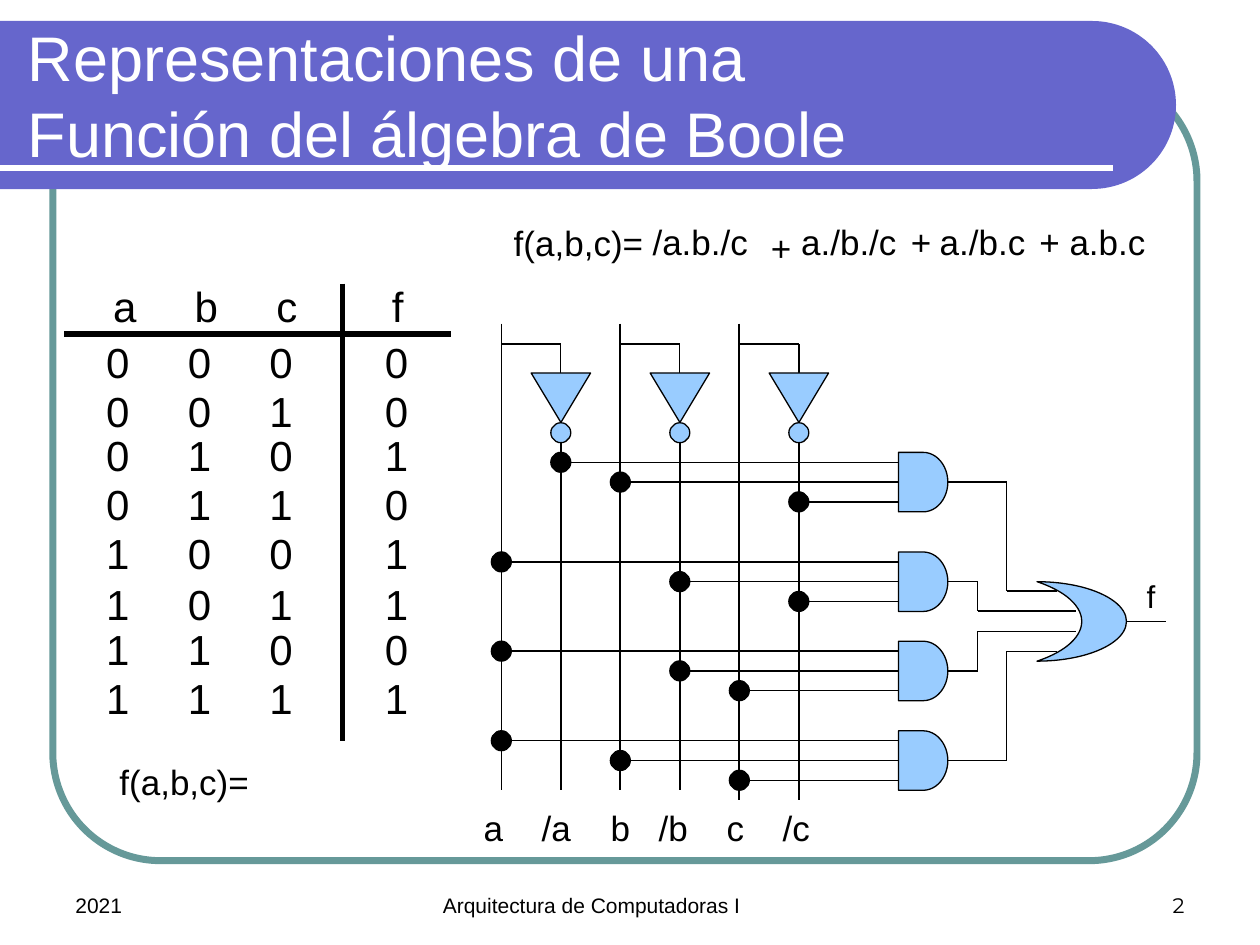
"""Build a slide with a truth table and the logic circuit of a Boolean function."""
from math import cos, radians, sin
from typing import NamedTuple

from lxml.etree import SubElement
from pptx import Presentation
from pptx.dml.color import RGBColor
from pptx.enum.shapes import MSO_CONNECTOR, MSO_SHAPE
from pptx.enum.text import MSO_ANCHOR, MSO_AUTO_SIZE, PP_ALIGN
from pptx.oxml.ns import qn
from pptx.util import Pt

BLACK, WHITE, SKY, TEAL, VIOLET = "000000", "FFFFFF", "99CCFF", "669999", "6666CC"
STEP, GATE_X, GATE_W, GATE_H, PIN = 34, 513.4, 28.2, 34, 11.3
WIRES = {name: 286.5 + STEP * i for i, name in enumerate(["a", "/a", "b", "/b", "c", "/c"])}


class Label(NamedTuple):
    text: str
    left: float
    top: float
    width: float
    height: float = 31.7
    size: float = 20
    align: PP_ALIGN = PP_ALIGN.LEFT
    anchor: MSO_ANCHOR = MSO_ANCHOR.TOP
    font: str = "Arial"
    inset: float = 7.2
    tabs: tuple = ()


class Gate(NamedTuple):
    top: float
    pins: tuple
    bend: float
    port: float
    end: float


GATES = [
    Gate(258.5, ("/a", "b", "/c"), 575.3, 337.7, 604),
    Gate(315.4, ("a", "/b", "/c"), 558.7, 349.2, 615),
    Gate(366.4, ("a", "/b", "c"), 558.7, 360.7, 615),
    Gate(417.6, ("a", "b", "c"), 575.3, 372.2, 604),
]
TABLE_TABS = (46.7, 93.3, 159.3)
ROW_TOPS = [188.6, 216.7, 241.9, 270, 298, 326.9, 352.8, 380.9]
MINTERMS = {2, 4, 5, 7}
LABELS = [
    Label("f(a,b,c)=", 286.5, 123.1, 108),
    Label("/a.b./c", 365.8, 122.4, 73.4),
    Label("+", 433.4, 126, 28.1),
    Label("a./b./c", 450.7, 122.4, 73.4),
    Label("+", 513.4, 122.4, 28.1),
    Label("a./b.c", 529.9, 122.4, 67.7),
    Label("+", 586.8, 122.4, 28.1),
    Label("a.b.c", 604.1, 122.4, 62.6),
    Label("f(a,b,c)=", 61.2, 431.3, 108),
    Label("\t".join(WIRES), 269.3, 457.2, 203.8, tabs=(33.1, 72.6, 100, 138.9, 170.9)),
    Label("f", 643.7, 326.2, 28.1, 28.8, 18, PP_ALIGN.CENTER),
    Label("2021", 36, 492, 168, 36, 12, anchor=MSO_ANCHOR.BOTTOM),
    Label("Arquitectura de Computadoras I", 246, 492, 228, 36, 12, anchor=MSO_ANCHOR.BOTTOM),
    Label("2", 516, 492, 168, 36, 12, PP_ALIGN.RIGHT, MSO_ANCHOR.BOTTOM, "Montserrat"),
]


def color(code: str) -> RGBColor:
    return RGBColor.from_string(code)


def style(shape, fill: str | None, line: str | None, width: float = 0.75) -> None:
    shape.shadow.inherit = False
    if fill:
        shape.fill.solid()
        shape.fill.fore_color.rgb = color(fill)
    else:
        shape.fill.background()
    if line:
        shape.line.color.rgb = color(line)
        shape.line.width = Pt(width)
    else:
        shape.line.fill.background()


def draw_shape(slide, kind: MSO_SHAPE, x: float, y: float, w: float, h: float,
               fill: str | None = SKY, line: str = BLACK, width: float = 0.75, turn: float = 0):
    shape = slide.shapes.add_shape(kind, Pt(x), Pt(y), Pt(w), Pt(h))
    shape.rotation = turn
    style(shape, fill, line, width)
    return shape


def draw_line(slide, x1: float, y1: float, x2: float, y2: float,
              width: float = 0.75, code: str = BLACK):
    line = slide.shapes.add_connector(MSO_CONNECTOR.STRAIGHT, Pt(x1), Pt(y1), Pt(x2), Pt(y2))
    line.line.color.rgb = color(code)
    line.line.width = Pt(width)
    SubElement(line.element.spPr, qn("a:effectLst"))
    return line


def draw_dot(slide, x: float, y: float, fill: str = BLACK) -> None:
    draw_shape(slide, MSO_SHAPE.OVAL, x - 5.7, y - 5.7, 11.4, 11.4, fill)


def set_font(part, name: str, size: float, code: str) -> None:
    part.font.name = name
    part.font.size = Pt(size)
    part.font.color.rgb = color(code)


def draw_label(slide, label: Label) -> None:
    box = slide.shapes.add_textbox(Pt(label.left), Pt(label.top), Pt(label.width), Pt(label.height))
    frame = box.text_frame
    frame.word_wrap = True
    frame.vertical_anchor = label.anchor
    frame.margin_left = Pt(label.inset)
    part = frame.paragraphs[0]
    part.text = label.text
    part.alignment = label.align
    if label.tabs:
        stops = SubElement(part._p.get_or_add_pPr(), qn("a:tabLst"))
        for stop in label.tabs:
            SubElement(stops, qn("a:tab"), pos=str(int(Pt(stop))), algn="l")
    set_font(part, label.font, label.size, BLACK)


def draw_frame(slide) -> None:
    border = draw_shape(slide, MSO_SHAPE.ROUNDED_RECTANGLE, 30.2, 41.8, 653.8, 450, None, TEAL, 4)
    border.adjustments[0] = 0.137
    arc = [(624 + 48 * cos(radians(a)), 60 + 48 * sin(radians(a))) for a in range(-90, 91, 3)]
    pen = slide.shapes.build_freeform(Pt(0), Pt(12))
    pen.add_line_segments([(Pt(x), Pt(y)) for x, y in arc] + [(Pt(0), Pt(108))], close=True)
    style(pen.convert_to_shape(), VIOLET, None)
    rule = draw_line(slide, 0, 96, 636, 96, 3, WHITE)
    title = slide.shapes.title
    rule.element.addnext(title.element)
    title.left, title.top, title.width, title.height = Pt(8.6), Pt(18), Pt(499), Pt(72)
    frame = title.text_frame
    frame.text = "Representaciones de una Función del álgebra de Boole"
    frame.word_wrap = True
    frame.auto_size = MSO_AUTO_SIZE.NONE
    frame.vertical_anchor = MSO_ANCHOR.MIDDLE
    part = frame.paragraphs[0]
    part.alignment = PP_ALIGN.LEFT
    set_font(part, "Arial", 36, WHITE)


def draw_table(slide) -> None:
    draw_line(slide, 36.7, 190.8, 257.8, 190.8, 3)
    draw_line(slide, 195.8, 162, 195.8, 423.4, 3)
    rows = [("abcf", 157, 16.4)]
    rows += [(f"{n:03b}{int(n in MINTERMS)}", top, 12.5) for n, top in enumerate(ROW_TOPS)]
    for cells, top, inset in rows:
        draw_label(slide, Label("\t".join(cells), 48.2, top, 198.7, 36, 24,
                                inset=inset, tabs=TABLE_TABS))


def draw_input(slide, name: str) -> None:
    x, foot = WIRES[name], 457.2 if name == "c" else 451.4
    mid = x + STEP
    draw_line(slide, x, 185, x, foot, 1)
    draw_line(slide, x, 196.6, mid, 196.6)
    draw_line(slide, mid, 196.6, mid, 213.1)
    draw_line(slide, mid, 252.7, mid, foot, 1)
    draw_shape(slide, MSO_SHAPE.FLOWCHART_EXTRACT, mid - 17, 213.1, 34, 28.3, turn=180)
    draw_dot(slide, mid, 247.3, SKY)


def draw_gate(slide, gate: Gate) -> None:
    mid = gate.top + GATE_H / 2
    draw_shape(slide, MSO_SHAPE.FLOWCHART_DELAY, GATE_X, gate.top, GATE_W, GATE_H)
    for i, pin in enumerate(gate.pins):
        y = mid + (i - 1) * PIN
        draw_line(slide, WIRES[pin], y, GATE_X, y)
        draw_dot(slide, WIRES[pin], y)
    draw_line(slide, GATE_X + GATE_W, mid, gate.bend, mid)
    draw_line(slide, gate.bend, mid, gate.bend, gate.port)
    draw_line(slide, gate.bend, gate.port, gate.end, gate.port)


def main() -> None:
    deck = Presentation()
    deck.slide_width, deck.slide_height = Pt(720), Pt(540)
    slide = deck.slides.add_slide(deck.slide_layouts[5])
    draw_frame(slide)
    draw_table(slide)
    draw_shape(slide, MSO_SHAPE.MOON, 592.6, 332.4, 51.1, 45.4, turn=180)
    draw_line(slide, 643.7, 355, 666, 355)
    for name in "abc":
        draw_input(slide, name)
    for gate in GATES:
        draw_gate(slide, gate)
    for label in LABELS:
        draw_label(slide, label)
    deck.save("out.pptx")


if __name__ == "__main__":
    main()
